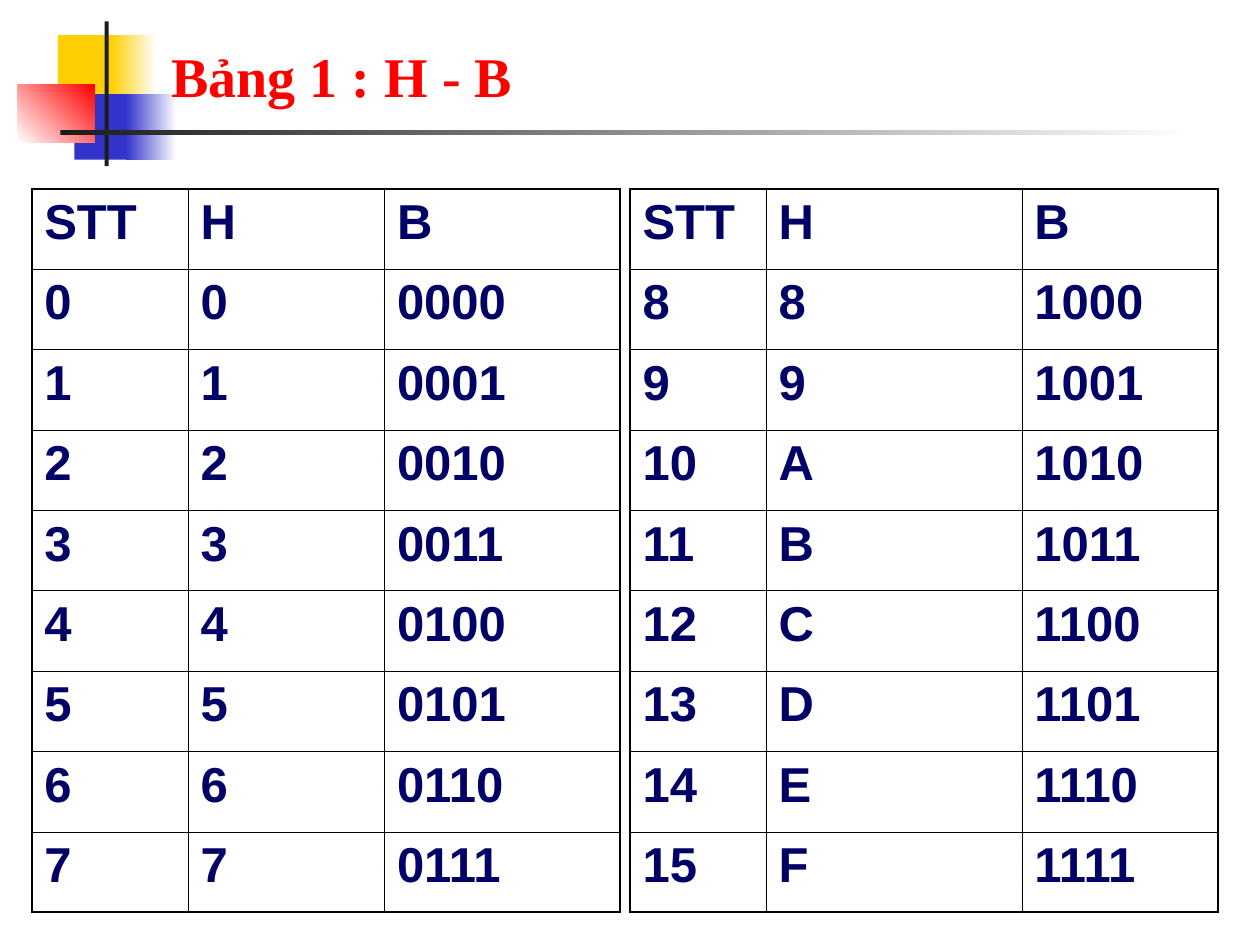
from lxml.etree import SubElement
from pptx import Presentation
from pptx.dml.color import RGBColor
from pptx.enum.shapes import MSO_SHAPE as Shape
from pptx.enum.text import MSO_ANCHOR as Anchor, MSO_AUTO_SIZE as Auto, PP_ALIGN as Align
from pptx.oxml import parse_xml
from pptx.oxml.ns import nsdecls, qn
from pptx.util import Cm, Pt

GOLD = RGBColor(0xFF, 0xCF, 0x01)
BLUE = RGBColor(0x33, 0x33, 0xCC)
RED = RGBColor(0xFF, 0x00, 0x00)
DARK = RGBColor(0x1C, 0x1C, 0x1C)
WHITE = RGBColor(0xFF, 0xFF, 0xFF)
NAVY = RGBColor(0x00, 0x00, 0x66)
BLACK = RGBColor(0x00, 0x00, 0x00)

TITLE = "Bảng 1 : H - B"
HEADS = ("STT", "H", "B")
TABLES = [
    (0.64, (3.15, 3.96, 4.75), range(0, 8)),
    (12.7, (2.74, 5.16, 3.96), range(8, 16)),
]
TOP, ROW = 3.81, 1.62
THICK, THIN = Pt(1.08), Pt(0.45)

DECOR = [
    ((1.17, 0.71, 1.22, 1.32), (GOLD,), 0),
    ((2.24, 0.71, 0.91, 1.32), (GOLD, WHITE), 0),
    ((1.5, 1.9, 1.17, 1.32), (BLUE,), 0),
    ((2.54, 1.9, 1.02, 1.32), (BLUE, WHITE), 0),
    ((0.36, 1.7, 1.55, 1.17), (WHITE, RED), 45),
    ((2.11, 0.43, 0.08, 2.92), (DARK,), 0),
    ((1.22, 2.62, 22.86, 0.1), (DARK, WHITE), 0),
]


def add_block(slide, box, tones, angle):
    block = slide.shapes.add_shape(Shape.RECTANGLE, *map(Cm, box))
    block.shadow.inherit = False
    block.line.fill.background()
    if len(tones) == 1:
        block.fill.solid()
        block.fill.fore_color.rgb = tones[0]
        return
    block.fill.gradient()
    block.fill.gradient_angle = angle
    for stop, tone in zip(block.fill.gradient_stops, tones):
        stop.color.rgb = tone


def style(text, face, size, tone):
    for run in text.paragraphs[0].runs:
        run.font.name = face
        run.font.size = Pt(size)
        run.font.bold = True
        run.font.color.rgb = tone


def set_edges(cell, outer):
    props = cell._tc.get_or_add_tcPr()
    for place, (side, thick) in enumerate(outer.items()):
        width = THICK if thick else THIN
        line = parse_xml(f'<a:ln{side} {nsdecls("a")} w="{width}"/>')
        fill = SubElement(line, qn("a:solidFill"))
        SubElement(fill, qn("a:srgbClr"), val=str(BLACK))
        props.insert(place, line)


def add_grid(slide, left, widths, numbers):
    rows = [HEADS] + [(str(n), f"{n:X}", f"{n:04b}") for n in numbers]
    end, last = len(rows) - 1, len(widths) - 1
    frame = slide.shapes.add_table(
        len(rows), len(widths), Cm(left), Cm(TOP), Cm(sum(widths)), Cm(ROW * len(rows))
    )
    table = frame.table
    table.first_row = table.horz_banding = False
    for column, width in zip(table.columns, widths):
        column.width = Cm(width)
    for r, row in enumerate(rows):
        table.rows[r].height = Cm(ROW)
        for c, word in enumerate(row):
            cell = table.cell(r, c)
            cell.fill.background()
            cell.text_frame.text = word
            style(cell.text_frame, "Arial", 28, NAVY)
            set_edges(cell, {"L": c == 0, "R": c == last, "T": r == 0, "B": r == end})


def main():
    deck = Presentation()
    deck.slide_width, deck.slide_height = Cm(25.4), Cm(19.05)
    slide = deck.slides.add_slide(deck.slide_layouts[5])
    for box, tones, angle in DECOR:
        add_block(slide, box, tones, angle)

    title = slide.shapes.title
    title.left, title.top, title.width, title.height = map(Cm, (3.2, 0.58, 21.64, 1.73))
    text = title.text_frame
    text.text = TITLE
    text.auto_size = Auto.NONE
    text.vertical_anchor = Anchor.BOTTOM
    text.paragraphs[0].alignment = Align.LEFT
    style(text, "Times New Roman", 32, RED)
    title.element.getparent().append(title.element)

    for left, widths, numbers in TABLES:
        add_grid(slide, left, widths, numbers)
    deck.save("out.pptx")


if __name__ == "__main__":
    main()
